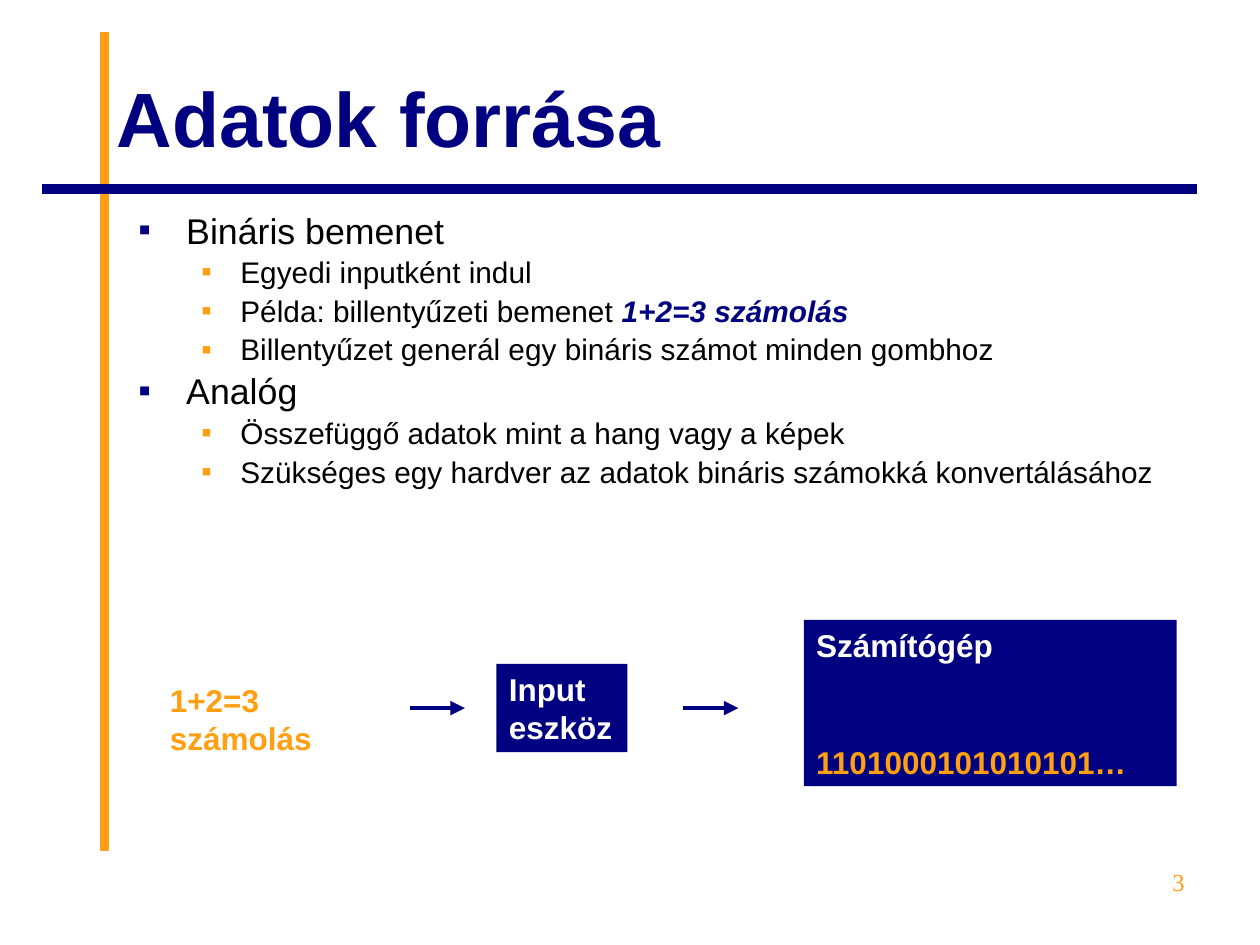
from lxml.etree import SubElement
from pptx import Presentation
from pptx.dml.color import RGBColor
from pptx.enum.shapes import MSO_CONNECTOR, MSO_SHAPE
from pptx.enum.text import MSO_ANCHOR, PP_ALIGN
from pptx.oxml.ns import qn
from pptx.util import Inches, Pt

NAVY, ORANGE, BLACK, WHITE = "000080", "FF9F11", "000000", "FFFFFF"

# (level, [(text, emphasised), ...])
OUTLINE = [
    (0, [("Bináris bemenet", False)]),
    (1, [("Egyedi inputként indul", False)]),
    (1, [("Példa: billentyűzeti bemenet ", False), ("1+2=3 számolás", True)]),
    (1, [("Billentyűzet generál egy bináris számot minden gombhoz", False)]),
    (0, [("Analóg", False)]),
    (1, [("Összefüggő adatok mint a hang vagy a képek", False)]),
    (1, [("Szükséges egy hardver az adatok bináris számokká konvertálásához", False)]),
]
# size, space before, left margin, hanging indent, bullet colour
LEVELS = [(20.4, 6.3, 0.38, 0.38, NAVY), (17, 5.7, 0.81, 0.31, ORANGE)]


def color(value):
    return RGBColor.from_string(value)


def add_span(para, text, size=18, fill=BLACK, bold=False, italic=False, font="Arial"):
    span = para.add_run()
    span.text = text
    span.font.name = font
    span.font.size = Pt(size)
    span.font.bold = bold
    span.font.italic = italic
    span.font.color.rgb = color(fill)


def add_box(slide, left, top, width, height, fill=None, anchor=MSO_ANCHOR.TOP):
    """Add a text box, or a filled rectangle when a fill is given."""
    place = [Inches(value) for value in (left, top, width, height)]
    if fill:
        box = slide.shapes.add_shape(MSO_SHAPE.RECTANGLE, *place)
        box.shadow.inherit = False
        box.fill.solid()
        box.fill.fore_color.rgb = color(fill)
        box.line.fill.background()
    else:
        box = slide.shapes.add_textbox(*place)
    box.text_frame.word_wrap = True
    box.text_frame.vertical_anchor = anchor
    return box.text_frame


def add_paragraph(frame, first, align=PP_ALIGN.LEFT, before=0):
    para = frame.paragraphs[0] if first else frame.add_paragraph()
    para.alignment = align
    para.space_before = Pt(0 if first else before)
    return para


def add_label(slide, place, text, align=PP_ALIGN.LEFT, box_fill=None,
              anchor=MSO_ANCHOR.TOP, **style):
    frame = add_box(slide, *place, fill=box_fill, anchor=anchor)
    add_span(add_paragraph(frame, True, align), text, **style)
    return frame


def add_bullet(para, margin, hanging, fill):
    properties = para._p.get_or_add_pPr()
    properties.set("marL", str(Inches(margin)))
    properties.set("indent", str(-Inches(hanging)))
    bullet_color = SubElement(properties, qn("a:buClr"))
    SubElement(bullet_color, qn("a:srgbClr"), val=fill)
    SubElement(properties, qn("a:buFont"), typeface="Arial")
    SubElement(properties, qn("a:buChar"), char="▪")


def add_outline(slide):
    frame = add_box(slide, 1, 1.67, 8.5, 2.33)
    for index, (level, spans) in enumerate(OUTLINE):
        size, before, margin, hanging, bullet_fill = LEVELS[level]
        para = add_paragraph(frame, index == 0, before=before)
        para.level = level
        para.line_spacing = 0.8
        add_bullet(para, margin, hanging, bullet_fill)
        for text, strong in spans:
            add_span(para, text, size, NAVY if strong else BLACK, strong, strong)


def add_line(slide, start, end, fill, width, arrow=False):
    points = [Inches(value) for value in (*start, *end)]
    line = slide.shapes.add_connector(MSO_CONNECTOR.STRAIGHT, *points)
    line.line.color.rgb = color(fill)
    line.line.width = Pt(width)
    if arrow:
        SubElement(line.line._get_or_add_ln(), qn("a:tailEnd"), type="triangle")
    SubElement(line._element.spPr, qn("a:effectLst"))


def add_input_flow(slide):
    computer = add_label(slide, (6.38, 4.92, 2.96, 1.32), "Számítógép",
                         box_fill=NAVY, fill=WHITE, bold=True)
    bits = add_paragraph(computer, False, before=45)
    add_span(bits, "1101000101010101…", fill=ORANGE, bold=True)
    add_label(slide, (3.94, 5.27, 1.04, 0.7), "Input eszköz",
              box_fill=NAVY, fill=WHITE, bold=True)
    add_label(slide, (1.25, 5.36, 2, 0.7), "1+2=3 számolás", fill=ORANGE, bold=True)
    for left in (3.25, 5.42):
        add_line(slide, (left, 5.62), (left + 0.44, 5.62), NAVY, 2.75, arrow=True)


def main():
    deck = Presentation()
    deck.slide_width, deck.slide_height = Inches(10), Inches(7.5)
    page = deck.slides.add_slide(deck.slide_layouts[6])
    add_line(page, (0.83, 6.75), (0.83, 0.25), ORANGE, 5.5)
    add_line(page, (9.5, 1.5), (0.33, 1.5), NAVY, 5.5)
    add_label(page, (0.83, 0.3, 8.67, 1.25), "Adatok forrása",
              anchor=MSO_ANCHOR.MIDDLE, size=44, fill=NAVY, bold=True)
    add_outline(page)
    add_input_flow(page)
    add_label(page, (7.17, 6.83, 2.33, 0.52), "3", align=PP_ALIGN.RIGHT,
              size=14, fill=ORANGE, font="Times New Roman")
    deck.save("out.pptx")


if __name__ == "__main__":
    main()
